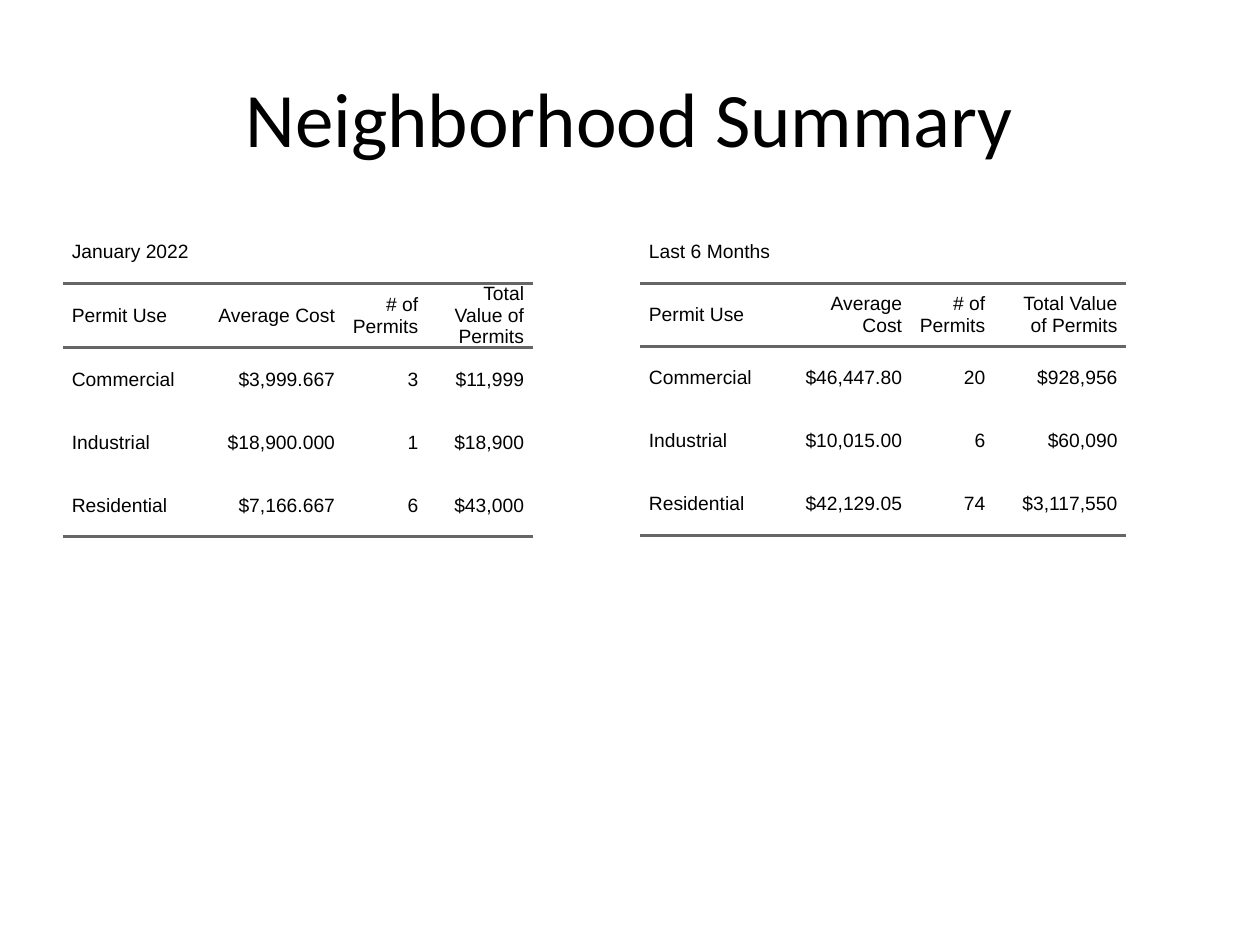
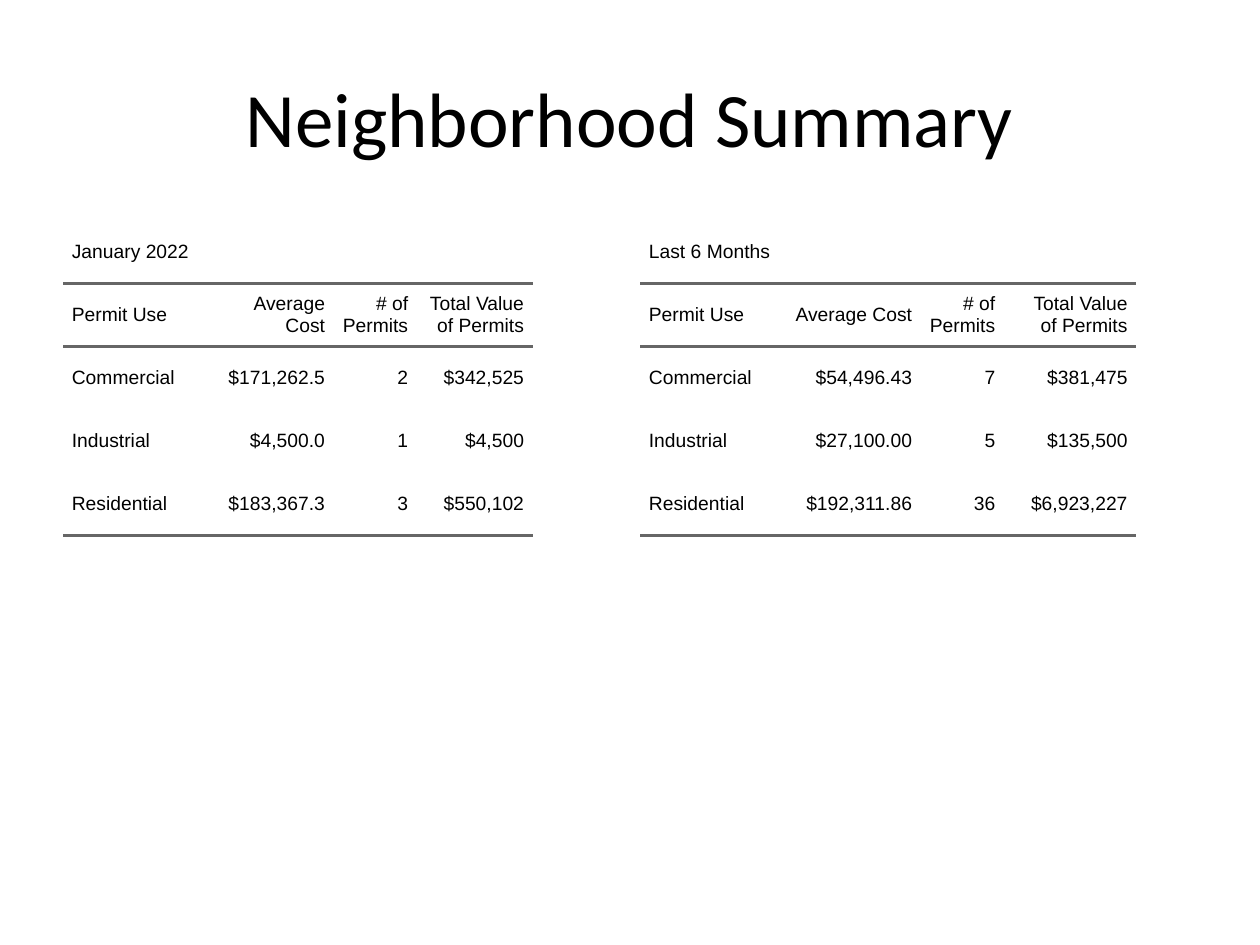
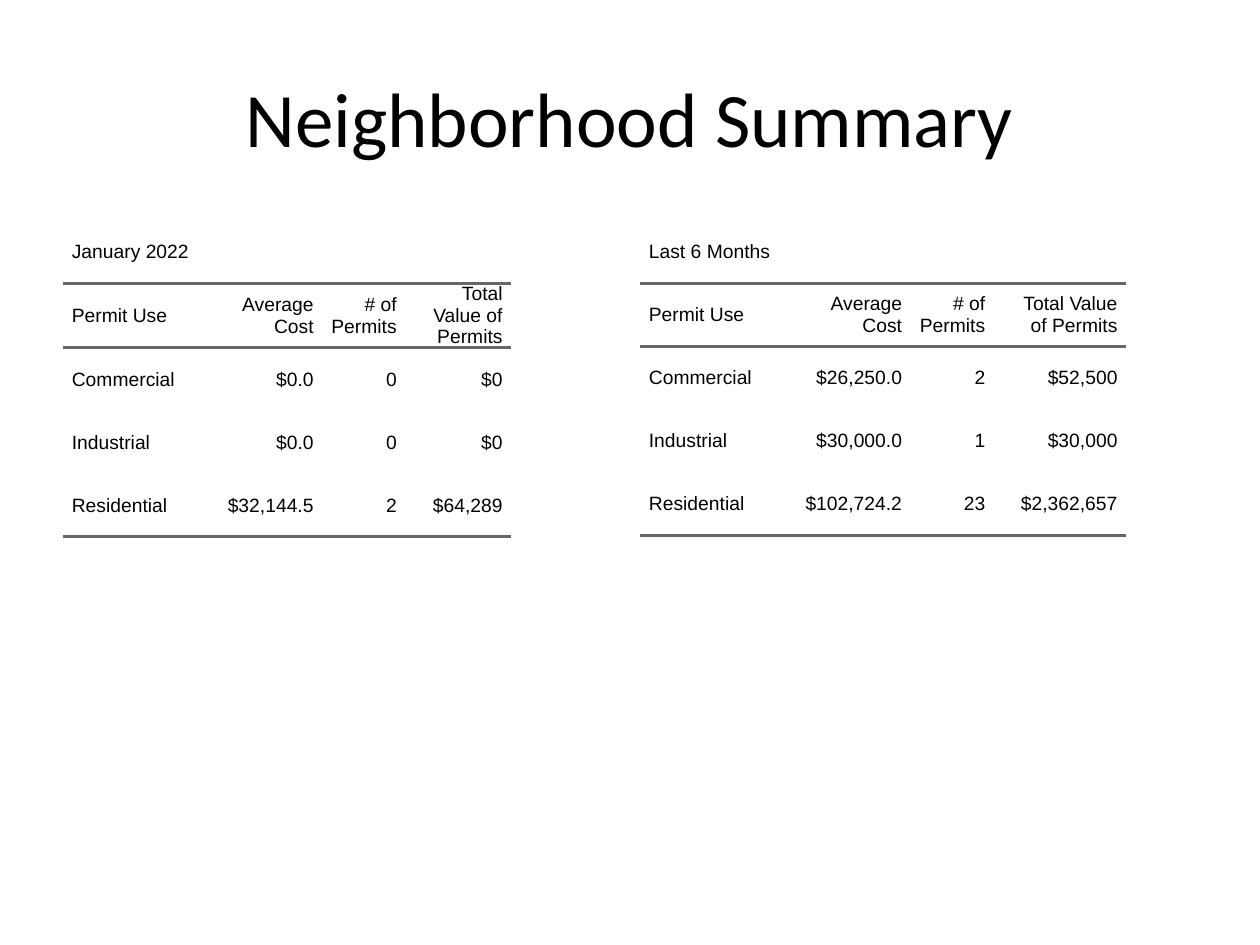
"""Builds the neighborhood permit summary slides."""
from lxml import etree
from pptx import Presentation
from pptx import util as u
from pptx.dml.color import RGBColor
from pptx.enum import text
from pptx.oxml.ns import qn

INK = RGBColor(0x00, 0x00, 0x00)
RULE = RGBColor(0x66, 0x66, 0x66)
RULE_WIDTH = u.Pt(2)
NO_STYLE = "{2D5ABB26-0587-4C30-8999-92F81FD0307C}"

TITLE = "Neighborhood Summary"
HEADINGS = ["Permit Use", "Average Cost", "# of Permits", "Total Value of Permits"]
USES = ["Commercial", "Industrial", "Residential"]
PERIODS = {"January 2022": 0.5, "Last 6 Months": 5.08}
TABLE_TOP = 1.75
ROW_HEIGHT = 0.5
USE_WIDTH, COUNT_WIDTH = 1.1, 0.66
CELL_INDENT = u.Inches(0.07)

TITLE_FONT = {"name": "Calibri", "size": u.Pt(44)}
CELL_FONT = {"name": "Arial", "size": u.Pt(11)}
CELL_LAYOUT = {
    "margin_left": 0,
    "margin_right": 0,
    "margin_top": 0,
    "margin_bottom": 0,
    "vertical_anchor": text.MSO_ANCHOR.MIDDLE,
}

NEIGHBORHOODS = [
    [
        (1.13, 0.84, [("$3,999.667", "3", "$11,999"),
                      ("$18,900.000", "1", "$18,900"),
                      ("$7,166.667", "6", "$43,000")]),
        (1.05, 1.05, [("$46,447.80", "20", "$928,956"),
                      ("$10,015.00", "6", "$60,090"),
                      ("$42,129.05", "74", "$3,117,550")]),
    ],
    [
        (1.05, 0.92, [("$171,262.5", "2", "$342,525"),
                      ("$4,500.0", "1", "$4,500"),
                      ("$183,367.3", "3", "$550,102")]),
        (1.13, 1.05, [("$54,496.43", "7", "$381,475"),
                      ("$27,100.00", "5", "$135,500"),
                      ("$192,311.86", "36", "$6,923,227")]),
    ],
    [
        (0.96, 0.84, [("$0.0", "0", "$0"),
                      ("$0.0", "0", "$0"),
                      ("$32,144.5", "2", "$64,289")]),
        (1.05, 1.05, [("$26,250.0", "2", "$52,500"),
                      ("$30,000.0", "1", "$30,000"),
                      ("$102,724.2", "23", "$2,362,657")]),
    ],
]


class Deck:
    """Holds the shared style and the current slide."""

    def __init__(self):
        """Start a 10 by 7.5 inch presentation."""
        self.deck = Presentation()
        self.deck.slide_width = u.Inches(10)
        self.deck.slide_height = u.Inches(7.5)

    def apply(self, target, values):
        """Set each named attribute on the target."""
        for name, value in values.items():
            setattr(target, name, value)

    def add_words(self, paragraph, words, font, align):
        """Fill a paragraph with styled, aligned words."""
        paragraph.text = words
        paragraph.alignment = align
        self.apply(paragraph.runs[0].font, font)
        paragraph.runs[0].font.color.rgb = INK

    def add_slide(self, heading):
        """Add a slide with its title."""
        self.slide = self.deck.slides.add_slide(self.deck.slide_layouts[5])
        title = self.slide.shapes.title
        self.apply(title, {"left": u.Inches(0.5), "top": u.Inches(0.3),
                           "width": u.Inches(9), "height": u.Inches(1.25)})
        title.text_frame.vertical_anchor = text.MSO_ANCHOR.MIDDLE
        self.add_words(title.text_frame.paragraphs[0], heading, TITLE_FONT,
                       text.PP_ALIGN.CENTER)

    def add_rules(self, cell, sides):
        """Draw grey rules on the given sides of a cell."""
        properties = cell._tc.get_or_add_tcPr()
        for place, side in enumerate(sides):
            line = etree.Element(qn(f"a:{side}"), w=str(RULE_WIDTH))
            fill = etree.SubElement(line, qn("a:solidFill"))
            etree.SubElement(fill, qn("a:srgbClr"), val=str(RULE))
            properties.insert(place, line)

    def add_cell(self, cell, words, align):
        """Fill one table cell."""
        self.apply(cell, CELL_LAYOUT)
        cell.fill.background()
        paragraph = cell.text_frame.paragraphs[0]
        self.add_words(paragraph, words, CELL_FONT, align)
        paragraph.space_after = u.Pt(5)
        for side in ("marL", "marR"):
            paragraph._p.get_or_add_pPr().set(side, str(CELL_INDENT))

    def add_permits(self, period, left, widths, rows):
        """Add the permit table of one period."""
        count = len(rows) + 1
        table = self.slide.shapes.add_table(
            count, len(widths), u.Inches(left), u.Inches(TABLE_TOP),
            u.Inches(sum(widths)), u.Inches(count * ROW_HEIGHT)).table
        self.apply(table, {"first_row": False, "horz_banding": False})
        table._tbl.tblPr.find(qn("a:tableStyleId")).text = NO_STYLE
        for column, width in zip(table.columns, widths):
            column.width = u.Inches(width)

        table.cell(0, 0).merge(table.cell(0, len(widths) - 1))
        self.add_cell(table.cell(0, 0), period, text.PP_ALIGN.LEFT)
        rules = {1: ["lnT", "lnB"], len(rows): ["lnB"]}
        for r, row in enumerate(rows, 1):
            for c, words in enumerate(row):
                align = text.PP_ALIGN.RIGHT if c else text.PP_ALIGN.LEFT
                self.add_cell(table.cell(r, c), words, align)
                self.add_rules(table.cell(r, c), rules.get(r, []))


def main():
    """Build one slide per neighborhood and save the deck."""
    deck = Deck()
    for summaries in NEIGHBORHOODS:
        deck.add_slide(TITLE)
        for (period, left), summary in zip(PERIODS.items(), summaries):
            cost_width, value_width, figures = summary
            widths = [USE_WIDTH, cost_width, COUNT_WIDTH, value_width]
            rows = [HEADINGS] + [[use, *row] for use, row in zip(USES, figures)]
            deck.add_permits(period, left, widths, rows)
    deck.deck.save("out.pptx")


if __name__ == "__main__":
    main()
